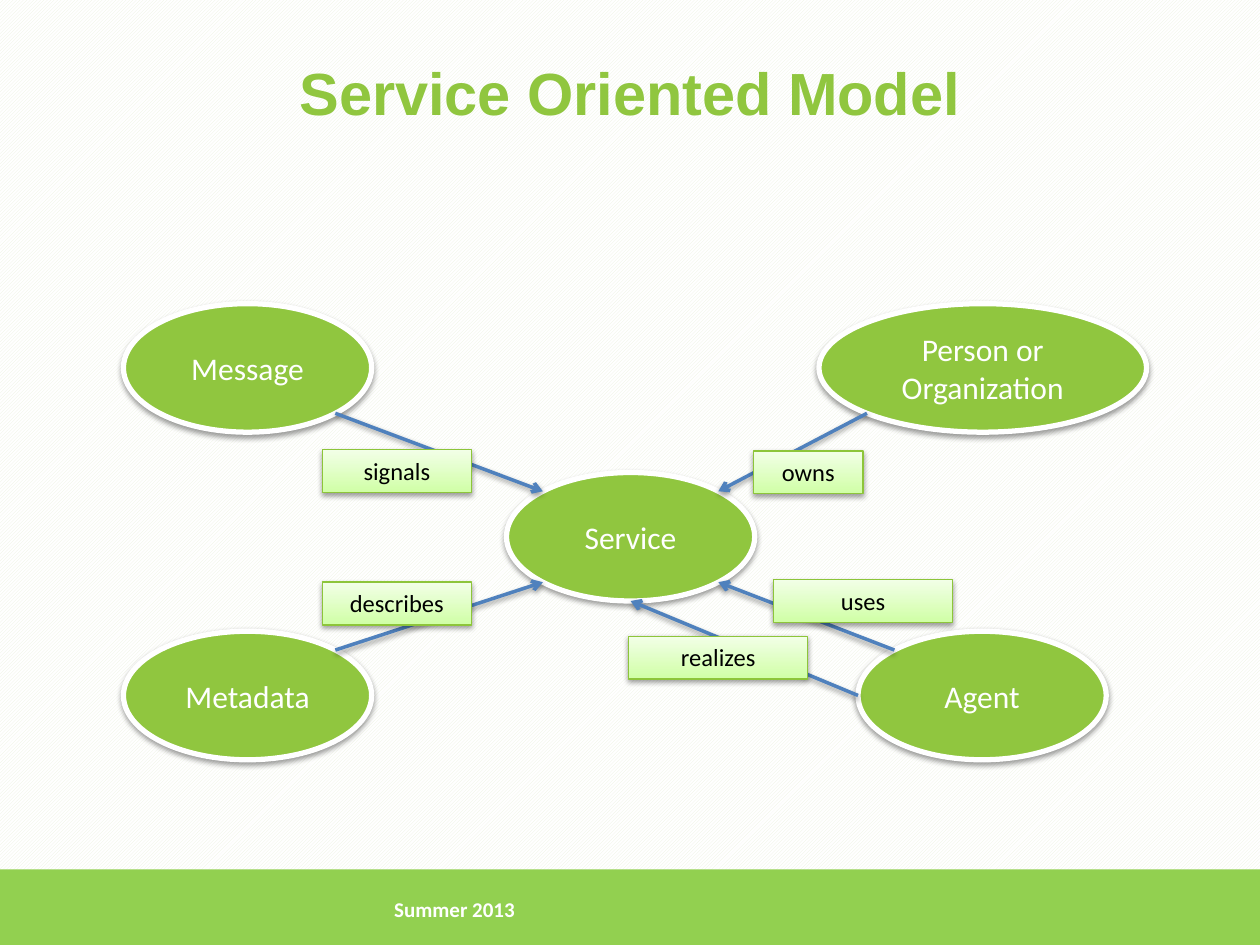
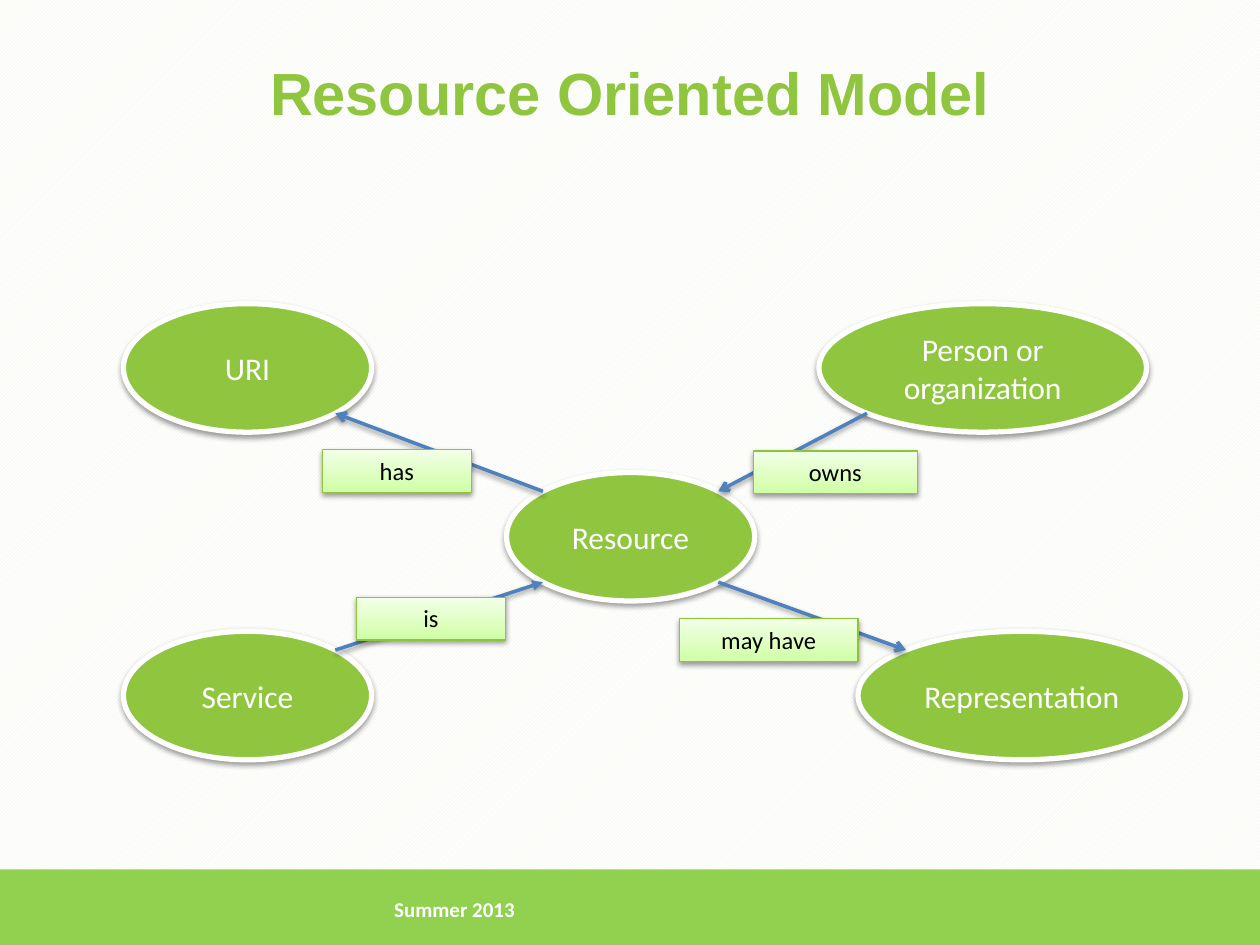
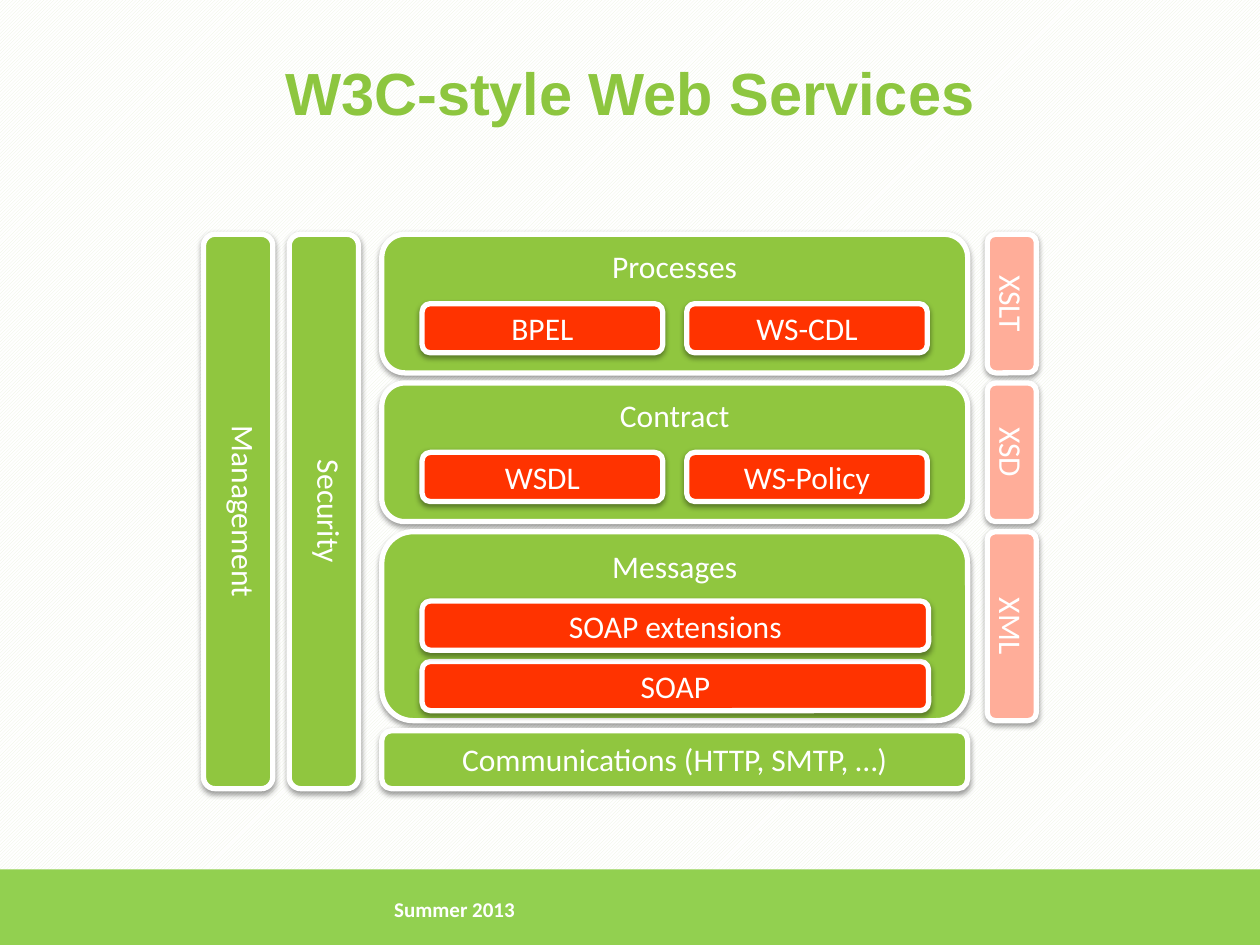
from math import cos, radians, sin

from lxml import etree
from pptx import Presentation
from pptx.dml.color import RGBColor
from pptx.enum.dml import MSO_PATTERN
from pptx.enum.shapes import MSO_CONNECTOR, MSO_SHAPE
from pptx.enum.text import MSO_ANCHOR, MSO_AUTO_SIZE, PP_ALIGN
from pptx.oxml.ns import qn
from pptx.util import Inches, Pt

RECT = MSO_SHAPE.RECTANGLE
ROUNDED = MSO_SHAPE.ROUNDED_RECTANGLE
ELLIPSE = MSO_SHAPE.OVAL
STRAIGHT = MSO_CONNECTOR.STRAIGHT
TOP, MIDDLE = MSO_ANCHOR.TOP, MSO_ANCHOR.MIDDLE
LEFT, CENTER = PP_ALIGN.LEFT, PP_ALIGN.CENTER

WHITE = RGBColor(0xFF, 0xFF, 0xFF)
BLACK = RGBColor(0x00, 0x00, 0x00)
GREEN = RGBColor(0x90, 0xC6, 0x3F)
TITLE_GREEN = RGBColor(0x8D, 0xC6, 0x3F)
BAND_GREEN = RGBColor(0x92, 0xD0, 0x50)
HATCH = RGBColor(0xEB, 0xF1, 0xDE)
LABEL_DARK = RGBColor(0xD0, 0xFF, 0xA6)
LABEL_LIGHT = RGBColor(0xF2, 0xFF, 0xE7)
LABEL_EDGE = RGBColor(0x8D, 0xC5, 0x3A)
BLUE = RGBColor(0x4F, 0x81, 0xBD)
RED = RGBColor(0xFF, 0x33, 0x00)
PINK = RGBColor(0xFF, 0xAD, 0x99)


def add_shadow(shape):
    effects = etree.SubElement(shape._element.spPr, qn("a:effectLst"))
    shadow = etree.SubElement(effects, qn("a:outerShdw"), blurRad="40000",
                              dist="20000", dir="5400000", rotWithShape="0")
    color = etree.SubElement(shadow, qn("a:srgbClr"), val="000000")
    etree.SubElement(color, qn("a:alpha"), val="38000")


def add_text(slide, text, box, preset=None, fill=GREEN, edge=WHITE, edge_width=3,
             size=18, font="Calibri", color=WHITE, bold=False, align=CENTER,
             anchor=MIDDLE, rotation=0):
    bounds = [Inches(length) for length in box]
    if preset is None:
        shape = slide.shapes.add_textbox(*bounds)
    else:
        shape = slide.shapes.add_shape(preset, *bounds)
        shape.fill.solid()
        shape.fill.fore_color.rgb = fill
        shape.line.color.rgb = edge
        shape.line.width = Pt(edge_width)
        add_shadow(shape)
    shape.rotation = rotation
    frame = shape.text_frame
    frame.word_wrap = True
    frame.vertical_anchor = anchor
    frame.text = text
    for paragraph in frame.paragraphs:
        paragraph.alignment = align
        for run in paragraph.runs:
            run.font.size = Pt(size)
            run.font.name = font
            run.font.bold = bold
            run.font.color.rgb = color
    return shape


prs = Presentation()
prs.slide_width, prs.slide_height = Inches(10), Inches(7.5)
backdrop = prs.slide_master.background.fill
backdrop.patterned()
backdrop.pattern = MSO_PATTERN.LIGHT_UPWARD_DIAGONAL
backdrop.fore_color.rgb = HATCH
backdrop.back_color.rgb = WHITE

slides = []
for title, title_color in (("Service Oriented Model", GREEN),
                           ("Resource Oriented Model", GREEN),
                           ("W3C-style Web Services", TITLE_GREEN)):
    slide = prs.slides.add_slide(prs.slide_layouts[6])
    band = slide.shapes.add_shape(RECT, 0, Inches(6.9), Inches(10), Inches(0.63))
    band.fill.solid()
    band.fill.fore_color.rgb = BAND_GREEN
    band.line.fill.background()
    band.shadow.inherit = False
    add_text(slide, title, (0.5, 0.3, 9, 0.85), size=34, font="Arial",
             color=title_color, bold=True)
    add_text(slide, "Summer 2013", (3.03, 6.9, 6.02, 0.63), size=12, bold=True,
             align=LEFT)
    slides.append(slide)
service_slide, resource_slide, stack_slide = slides

# Angles run clockwise from the right-hand side of an ellipse.
NARROW, WIDE, NODE_HEIGHT = 1.97, 2.6, 1.02
models = [
    (service_slide,
     {"Metadata": (0.98, 5.01, NARROW),
      "Service": (4.02, 3.75, NARROW),
      "Person or\nOrganization": (6.5, 2.41, WIDE),
      "Message": (0.98, 2.41, NARROW),
      "Agent": (6.81, 5.01, NARROW)},
     [("Message", 45, "Service", 225, "arrow"),
      ("Metadata", 315, "Service", 135, "arrow"),
      ("Person or\nOrganization", 135, "Service", 315, "arrow"),
      ("Agent", 180, "Service", 90, "arrow"),
      ("Agent", 225, "Service", 45, "arrow")],
     [("realizes", 4.99, 5.05, 1.42), ("owns", 5.98, 3.58, 0.87),
      ("signals", 2.56, 3.57, 1.18), ("describes", 2.56, 4.62, 1.18),
      ("uses", 6.14, 4.6, 1.42)]),
    (resource_slide,
     {"Service": (0.98, 5.01, NARROW),
      "Resource": (4.02, 3.75, NARROW),
      "Person or organization": (6.5, 2.41, WIDE),
      "URI": (0.98, 2.41, NARROW),
      "Representation": (6.81, 5.01, WIDE)},
     [("Resource", 225, "URI", 45, "arrow"),
      ("Service", 315, "Resource", 135, "triangle"),
      ("Person or organization", 135, "Resource", 315, "arrow"),
      ("Resource", 45, "Representation", 225, "arrow")],
     [("may have", 5.39, 4.91, 1.42), ("owns", 5.98, 3.58, 1.3),
      ("has", 2.56, 3.57, 1.18), ("is", 2.83, 4.74, 1.18)]),
]

for slide, concepts, relations, labels in models:
    for concept, (left, top, width) in concepts.items():
        add_text(slide, concept, (left, top, width, NODE_HEIGHT), preset=ELLIPSE)
    for source, source_angle, target, target_angle, head in relations:
        ends = []
        for concept, angle in ((source, source_angle), (target, target_angle)):
            left, top, width = concepts[concept]
            ends += [Inches(left + width * (1 + cos(radians(angle))) / 2),
                     Inches(top + NODE_HEIGHT * (1 + sin(radians(angle))) / 2)]
        relation = slide.shapes.add_connector(STRAIGHT, *ends)
        relation.line.color.rgb = BLUE
        relation.line.width = Pt(2)
        etree.SubElement(relation.line._get_or_add_ln(), qn("a:tailEnd"), type=head)
        add_shadow(relation)
    for verb, left, top, width in labels:
        label = add_text(slide, verb, (left, top, width, 0.34), preset=RECT,
                         edge=LABEL_EDGE, edge_width=0.75, size=14, color=BLACK,
                         anchor=TOP)
        label.text_frame.auto_size = MSO_AUTO_SIZE.SHAPE_TO_FIT_TEXT
        label.fill.gradient()
        label.fill.gradient_angle = 90
        for stop, shade in zip(label.fill.gradient_stops, (LABEL_DARK, LABEL_LIGHT)):
            stop.color.rgb = shade

LAYER_LEFT, LAYER_WIDTH, LAYER_GAP = 3.03, 4.65, 0.08
HALF, FULL, STANDARD_HEIGHT = 1.91, 4.02, 0.39
FIRST, SECOND = 3.35, 5.45
layers = [
    ("Processes", 1.1, "XSLT",
     [("BPEL", FIRST, 0.55, HALF), ("WS-CDL", SECOND, 0.55, HALF)]),
    ("Contract", 1.1, "XSD",
     [("WSDL", FIRST, 0.55, HALF), ("WS-Policy", SECOND, 0.55, HALF)]),
    ("Messages", 1.5, "XML",
     [("SOAP", FIRST, 1.03, FULL), ("SOAP extensions", FIRST, 0.55, FULL)]),
    ("Communications (HTTP, SMTP, …)", 0.46, None, []),
]
STACK_TOP, STACK_HEIGHT = 1.86, 4.4
top = STACK_TOP
for layer, height, xml_format, standards in layers:
    add_text(stack_slide, layer, (LAYER_LEFT, top, LAYER_WIDTH, height),
             preset=ROUNDED, anchor=TOP)
    for standard, left, offset, width in standards:
        add_text(stack_slide, standard, (left, top + offset, width, STANDARD_HEIGHT),
                 preset=ROUNDED, fill=RED)
    if xml_format:
        box = (8.03 - height / 2, top + (height - STANDARD_HEIGHT) / 2,
               height, STANDARD_HEIGHT)
        add_text(stack_slide, xml_format, box, preset=ROUNDED, fill=PINK, rotation=90)
    top += height + LAYER_GAP

PILLAR_WIDTH = 0.55
for pillar, middle in (("Security", 2.57), ("Management", 1.89)):
    box = (middle - STACK_HEIGHT / 2, STACK_TOP + (STACK_HEIGHT - PILLAR_WIDTH) / 2,
           STACK_HEIGHT, PILLAR_WIDTH)
    add_text(stack_slide, pillar, box, preset=ROUNDED, anchor=TOP, rotation=90)

prs.save("out.pptx")
